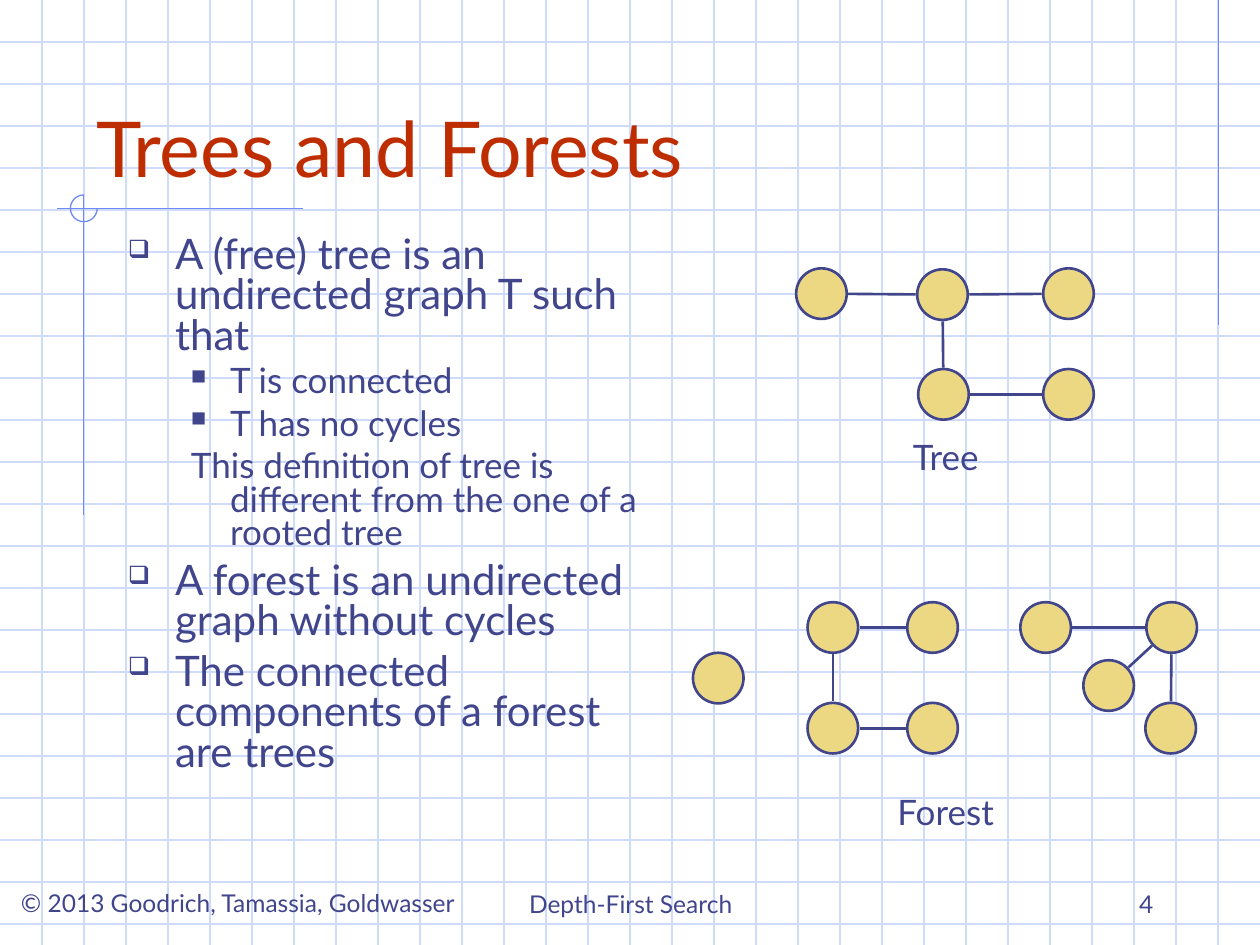
"""Build the "Trees and Forests" slide with its grid background and graph drawings."""
import math

import pptx
import pptx.dml.color
import pptx.enum.shapes
import pptx.enum.text
import pptx.oxml.ns
import pptx.util
from lxml import etree
from pptx.util import Cm, Pt

FONT = "Lato"
INK, RED, GOLD = "40458C", "BE2D00", "ECD882"
GRID, ACCENT = "CFDBFD", "6F89F7"
WIDTH, HEIGHT = 25.4, 19.05
GRID_STEP = WIDTH / 30
NODE_RADIUS, EDGE_TRIM = 0.51, 0.54

ALIGN = pptx.enum.text.PP_ALIGN
ANCHOR = pptx.enum.text.MSO_ANCHOR
SHAPE = pptx.enum.shapes.MSO_SHAPE

RULES = [
    ((24.56, 0), (24.56, 6.55)),
    ((6.1, 4.21), (1.14, 4.21)),
    ((1.69, 3.93), (1.69, 10.39)),
]
CORNER_ARC = (1.42, 3.93, 0.54, 0.54)

LABELS = [
    ("© 2013 Goodrich, Tamassia, Goldwasser", (-0.13, 17.78, 9.86, 0.86), 14, INK, ALIGN.CENTER, ANCHOR.TOP, False),
    ("Depth-First Search", (8.69, 17.36, 8.05, 1.27), 14, INK, ALIGN.CENTER, ANCHOR.BOTTOM, True),
    ("4", (18.21, 17.36, 5.29, 1.27), 14, INK, ALIGN.RIGHT, ANCHOR.BOTTOM, True),
    ("Trees and Forests", (1.69, 0.85, 21.59, 3.17), 44, RED, ALIGN.LEFT, ANCHOR.BOTTOM, True),
    ("Tree", (15.09, 8.66, 7.95, 1.12), 20, INK, ALIGN.CENTER, ANCHOR.TOP, True),
    ("Forest", (14.0, 15.82, 10.13, 1.12), 20, INK, ALIGN.CENTER, ANCHOR.TOP, True),
]

DEFINITIONS_BOX = (2.33, 4.66, 10.8, 12.49)
DEFINITIONS = [
    (0, "❑", "A (free) tree is an undirected graph T such that"),
    (1, "■", "T is connected"),
    (1, "■", "T has no cycles"),
    (1, None, "This definition of tree is different from the one of a rooted tree"),
    (0, "❑", "A forest is an undirected graph without cycles"),
    (0, "❑", "The connected components of a forest are trees"),
]
LEVELS = [
    {"size": 24, "margin": 0.95, "indent": -0.95, "before": 6},
    {"size": 20, "margin": 2.06, "indent": -0.79, "before": 5},
]

TREE = {
    "nodes": [(16.56, 5.92), (19.0, 5.94), (21.54, 5.92), (19.02, 7.95), (21.54, 7.95)],
    "edges": [(0, 1), (1, 2), (1, 3), (3, 4)],
}
FOREST = {
    "nodes": [
        (14.48, 13.67),
        (16.79, 12.65), (18.8, 12.65), (16.79, 14.68), (18.8, 14.68),
        (21.08, 12.65), (23.62, 12.65), (22.35, 13.82), (23.6, 14.68),
    ],
    "edges": [(1, 2), (1, 3), (3, 4), (5, 6), (6, 7), (6, 8)],
}


def rgb(value):
    return pptx.dml.color.RGBColor.from_string(value)


def add_line(slide, start, end, color, weight=0.75):
    line = slide.shapes.add_connector(
        pptx.enum.shapes.MSO_CONNECTOR.STRAIGHT, *map(Cm, (*start, *end)))
    line.line.color.rgb = rgb(color)
    line.line.width = Pt(weight)
    etree.SubElement(line._element.spPr, pptx.oxml.ns.qn("a:effectLst"))


def add_outline(slide, kind, place, color, weight, fill=None):
    outline = slide.shapes.add_shape(kind, *map(Cm, place))
    outline.shadow.inherit = False
    outline.line.color.rgb = rgb(color)
    outline.line.width = Pt(weight)
    if fill:
        outline.fill.solid()
        outline.fill.fore_color.rgb = rgb(fill)
    else:
        outline.fill.background()
    return outline


def add_frame(slide, place, anchor=ANCHOR.TOP, wrap=True):
    frame = slide.shapes.add_textbox(*map(Cm, place)).text_frame
    frame.word_wrap = wrap
    frame.vertical_anchor = anchor
    return frame


def write(paragraph, text, size, color):
    paragraph.text = text
    paragraph.font.name = FONT
    paragraph.font.size = Pt(size)
    paragraph.font.color.rgb = rgb(color)


def set_bullet(paragraph, bullet, margin, indent):
    qn = pptx.oxml.ns.qn
    properties = paragraph._p.get_or_add_pPr()
    properties.set("marL", str(Cm(margin)))
    properties.set("indent", str(Cm(indent)))
    if bullet:
        tint = etree.SubElement(properties, qn("a:buClr"))
        etree.SubElement(tint, qn("a:srgbClr"), val=INK)
        etree.SubElement(properties, qn("a:buSzPct"), val="60000")
        etree.SubElement(properties, qn("a:buChar"), char=bullet)
    else:
        etree.SubElement(properties, qn("a:buNone"))


def add_background(slide):
    for row in range(1, math.ceil(HEIGHT / GRID_STEP)):
        add_line(slide, (0, row * GRID_STEP), (WIDTH, row * GRID_STEP), GRID)
    for column in range(1, 30):
        add_line(slide, (column * GRID_STEP, 0), (column * GRID_STEP, HEIGHT), GRID)
    for start, end in RULES:
        add_line(slide, start, end, ACCENT)
    arc = add_outline(slide, SHAPE.ARC, CORNER_ARC, ACCENT, 0.75)
    arc.adjustments[0] = 0
    arc.adjustments[1] = 162


def add_definitions(slide):
    frame = add_frame(slide, DEFINITIONS_BOX)
    for index, (depth, bullet, text) in enumerate(DEFINITIONS):
        paragraph = frame.add_paragraph() if index else frame.paragraphs[0]
        level = LEVELS[depth]
        paragraph.level = depth
        set_bullet(paragraph, bullet, level["margin"], level["indent"])
        paragraph.line_spacing = 0.8
        paragraph.space_before = Pt(level["before"])
        write(paragraph, text, level["size"], INK)


def add_graph(slide, nodes, edges):
    for x, y in nodes:
        place = (x - NODE_RADIUS, y - NODE_RADIUS, 2 * NODE_RADIUS, 2 * NODE_RADIUS)
        add_outline(slide, SHAPE.OVAL, place, INK, 1.5, GOLD)
    for first, second in edges:
        (x1, y1), (x2, y2) = nodes[first], nodes[second]
        share = EDGE_TRIM / math.dist((x1, y1), (x2, y2))
        dx, dy = (x2 - x1) * share, (y2 - y1) * share
        add_line(slide, (x1 + dx, y1 + dy), (x2 - dx, y2 - dy), INK, 1.5)


def main():
    deck = pptx.Presentation()
    deck.slide_width, deck.slide_height = Cm(WIDTH), Cm(HEIGHT)
    slide = deck.slides.add_slide(deck.slide_layouts[6])
    add_background(slide)
    for text, place, size, color, align, anchor, wrap in LABELS:
        paragraph = add_frame(slide, place, anchor, wrap).paragraphs[0]
        paragraph.alignment = align
        write(paragraph, text, size, color)
    add_definitions(slide)
    for graph in (TREE, FOREST):
        add_graph(slide, **graph)
    deck.save("out.pptx")


if __name__ == "__main__":
    main()
